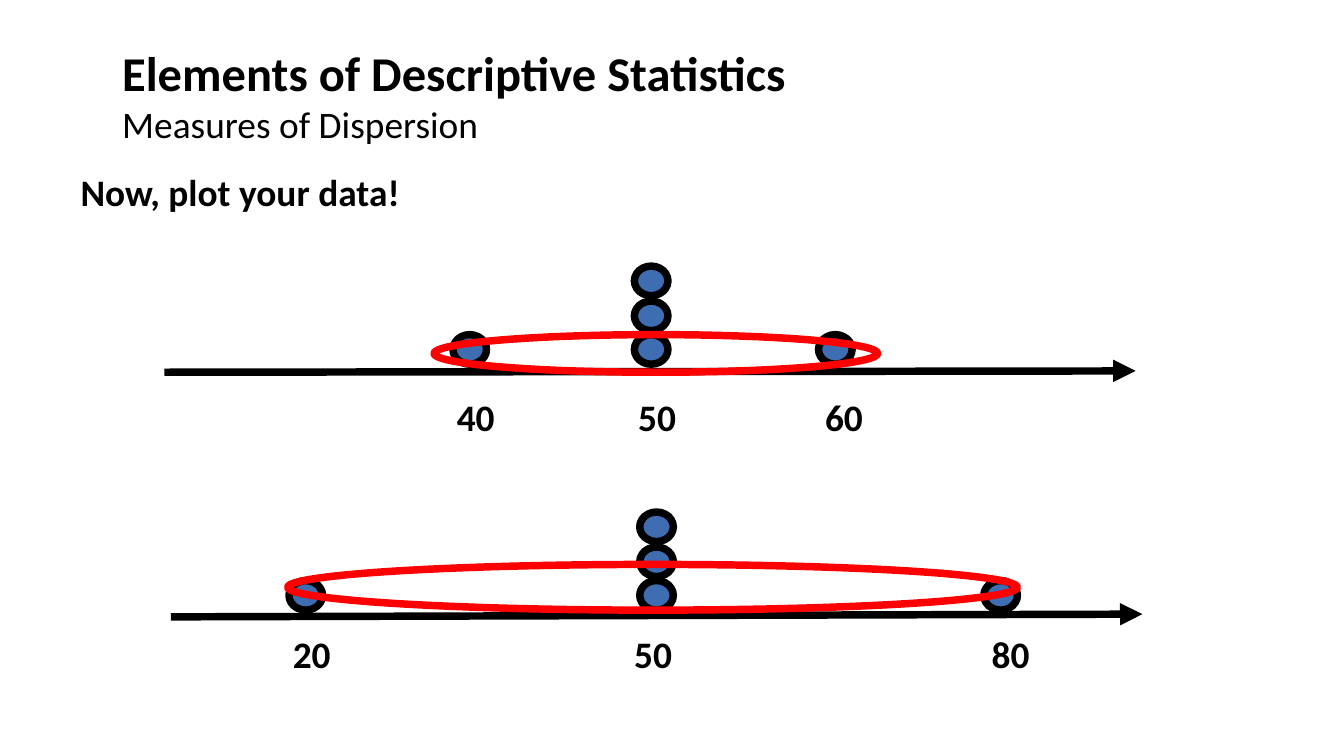
from dataclasses import dataclass

from lxml import etree
from pptx import Presentation
from pptx.dml.color import RGBColor
from pptx.enum.shapes import MSO_CONNECTOR, MSO_SHAPE
from pptx.enum.text import MSO_ANCHOR, PP_ALIGN
from pptx.oxml.ns import qn
from pptx.slide import Slide
from pptx.util import Inches, Pt

STRAIGHT = MSO_CONNECTOR.STRAIGHT
OVAL = MSO_SHAPE.OVAL
TOP, BOTTOM = MSO_ANCHOR.TOP, MSO_ANCHOR.BOTTOM
LEFT, CENTER = PP_ALIGN.LEFT, PP_ALIGN.CENTER

COLORS = {"text": "000000", "line": "000000", "dot": "3E6DB2", "spread": "FF0000"}
FONT = "Calibri"
LINE_WIDTH = Pt(4)
SLIDE_W = 10
SLIDE_H = SLIDE_W * 9 / 16
DOT_W, DOT_H = 0.25, 0.22
RISES = (0, 0.25, 0.51)
LABEL_W, LABEL_H = 0.6, 0.34

Box = tuple[float, float, float, float]


@dataclass(frozen=True)
class Text:
    text: str
    box: Box
    size: int = 20
    bold: bool = True
    anchor: MSO_ANCHOR = TOP
    align: PP_ALIGN = LEFT


@dataclass(frozen=True)
class Stack:
    left: float
    count: int
    label: str
    label_center: float


@dataclass(frozen=True)
class DotPlot:
    axis: Box
    dot_top: float
    label_top: float
    stacks: tuple[Stack, ...]
    spread: Box


TEXTS = (
    Text("Elements of Descriptive Statistics", (0.91, 0.3, 8.2, 0.45), size=26, anchor=BOTTOM),
    Text("Measures of Dispersion", (0.91, 0.75, 8.2, 0.34), bold=False),
    Text("Now, plot your data!", (0.6, 1.26, 8.5, 0.34)),
)

PLOTS = (
    DotPlot(
        axis=(1.25, 2.77, 8.45, 2.76),
        dot_top=2.49,
        label_top=2.93,
        stacks=(
            Stack(4.72, 3, "50", 4.89),
            Stack(3.37, 1, "40", 3.54),
            Stack(6.09, 1, "60", 6.28),
        ),
        spread=(3.23, 2.49, 3.3, 0.28),
    ),
    DotPlot(
        axis=(1.3, 4.59, 8.5, 4.57),
        dot_top=4.32,
        label_top=4.7,
        stacks=(
            Stack(4.76, 3, "50", 4.86),
            Stack(2.15, 1, "20", 2.32),
            Stack(7.32, 1, "80", 7.52),
        ),
        spread=(2.14, 4.2, 5.43, 0.34),
    ),
)


def rgb(name: str) -> RGBColor:
    """Return the named colour."""
    return RGBColor.from_string(COLORS[name])


def add_text(s: Slide, item: Text) -> None:
    """Draw one line of text in a box without margins."""
    tf = s.shapes.add_textbox(*map(Inches, item.box)).text_frame
    frame = {
        "word_wrap": True,
        "vertical_anchor": item.anchor,
        "margin_left": 0,
        "margin_right": 0,
        "margin_top": 0,
        "margin_bottom": 0,
    }
    for name, value in frame.items():
        setattr(tf, name, value)
    p = tf.paragraphs[0]
    p.alignment = item.align
    r = p.add_run()
    r.text = item.text
    for name, value in {"name": FONT, "size": Pt(item.size), "bold": item.bold}.items():
        setattr(r.font, name, value)
    r.font.color.rgb = rgb("text")


def add_axis(s: Slide, ends: Box) -> None:
    """Draw a number line with an arrowhead at its right end."""
    cx = s.shapes.add_connector(STRAIGHT, *map(Inches, ends))
    cx.line.color.rgb = rgb("line")
    cx.line.width = LINE_WIDTH
    ln = cx.line._get_or_add_ln()
    ln.set("cap", "sq")
    etree.SubElement(ln, qn("a:tailEnd"), type="triangle")
    etree.SubElement(cx._element.spPr, qn("a:effectLst"))


def add_oval(s: Slide, box: Box, line: str, fill: str | None = None) -> None:
    """Draw an outlined ellipse, filled when a fill is named."""
    sp = s.shapes.add_shape(OVAL, *map(Inches, box))
    sp.shadow.inherit = False
    if fill:
        sp.fill.solid()
        sp.fill.fore_color.rgb = rgb(fill)
    else:
        sp.fill.background()
    sp.line.color.rgb = rgb(line)
    sp.line.width = LINE_WIDTH


def add_plot(s: Slide, plot: DotPlot) -> None:
    """Draw a dot plot with its labels and the ring showing its spread."""
    add_axis(s, plot.axis)
    for stack in plot.stacks:
        for rise in RISES[:stack.count]:
            add_oval(s, (stack.left, plot.dot_top - rise, DOT_W, DOT_H), "line", "dot")
        box = (stack.label_center - LABEL_W / 2, plot.label_top, LABEL_W, LABEL_H)
        add_text(s, Text(stack.label, box, align=CENTER))
    add_oval(s, plot.spread, "spread")


def main() -> None:
    """Build the slide and save it."""
    prs = Presentation()
    prs.slide_width, prs.slide_height = Inches(SLIDE_W), Inches(SLIDE_H)
    s = prs.slides.add_slide(prs.slide_layouts[6])
    for item in TEXTS:
        add_text(s, item)
    for plot in PLOTS:
        add_plot(s, plot)
    prs.save("out.pptx")


if __name__ == "__main__":
    main()
